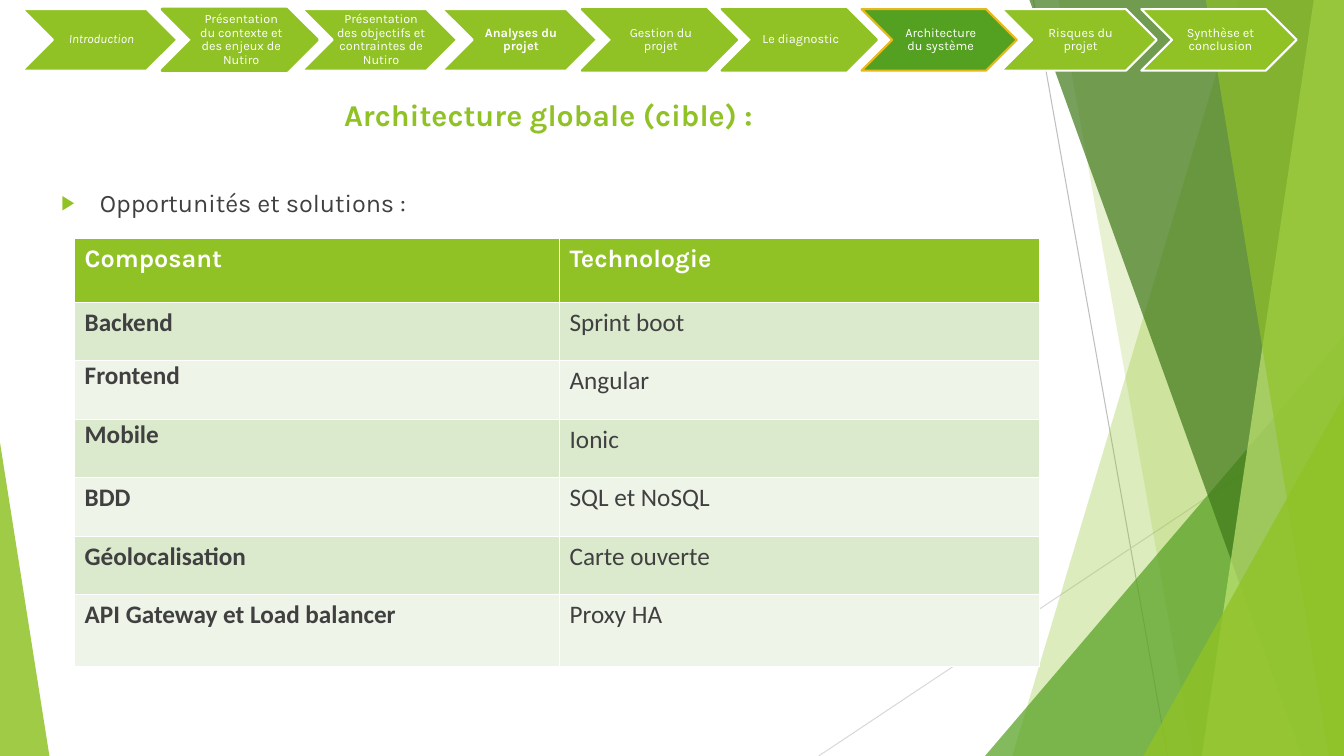
from dataclasses import dataclass
from typing import Any

from lxml import etree
from pptx import Presentation
from pptx import util as u
from pptx.dml.color import RGBColor
from pptx.enum import shapes, text
from pptx.oxml import ns

WIDTH, HEIGHT = 13.33, 7.5
LIME, GREEN, WHITE, GREY = "90C226", "54A021", "FFFFFF", "404040"
BANDS = ("DBE9CD", "EEF4E8")


@dataclass(frozen=True)
class Ray:
    start: tuple[float, float]
    end: tuple[float, float]
    color: str


@dataclass(frozen=True)
class Facet:
    points: tuple[tuple[float, float], ...]
    color: str
    opacity: int


@dataclass(frozen=True)
class Step:
    label: str
    fill: str = LIME
    outline: str = WHITE
    weight: float = 1.5
    bold: bool = False
    italic: bool = False


def right_facet(top: float, bottom: float, color: str, opacity: int) -> Facet:
    return Facet(((top, 0), (WIDTH, 0), (WIDTH, HEIGHT), (bottom, HEIGHT)), color, opacity)


def corner_facet(left: float, top: float, color: str, opacity: int) -> Facet:
    return Facet(((WIDTH, top), (WIDTH, HEIGHT), (left, HEIGHT)), color, opacity)


RAYS = [
    Ray((10.25, 0), (11.58, HEIGHT), "BFBFBF"),
    Ray((WIDTH, 4.03), (8.12, HEIGHT), "D9D9D9"),
]
FACETS = [
    right_facet(12.28, 10.04, LIME, 30),
    right_facet(10.5, 11.83, LIME, 20),
    corner_facet(9.77, 3.33, GREEN, 72),
    right_facet(10.21, 12.91, "3F7819", 70),
    right_facet(13.03, 11.92, "C0E474", 70),
    right_facet(11.96, 13.18, LIME, 65),
    corner_facet(11.34, 3.93, LIME, 80),
    Facet(((0, 4.39), (0.49, HEIGHT), (0, HEIGHT)), LIME, 85),
]
STEPS = [
    Step("Introduction", italic=True),
    Step("Présentation du contexte et des enjeux de Nutiro", outline=LIME, weight=2),
    Step("Présentation des objectifs et contraintes de Nutiro"),
    Step("Analyses du projet", bold=True),
    Step("Gestion du projet", outline=LIME),
    Step("Le diagnostic", outline=LIME),
    Step("Architecture du système", fill=GREEN, outline="E6B91E"),
    Step("Risques du projet"),
    Step("Synthèse et conclusion"),
]
COMPONENTS = [
    ("Composant", "Technologie"),
    ("Backend", "Sprint boot"),
    ("Frontend", "Angular"),
    ("Mobile", "Ionic"),
    ("BDD", "SQL et NoSQL"),
    ("Géolocalisation", "Carte ouverte"),
    ("API Gateway et Load balancer", "Proxy HA"),
]
COLUMN_WIDTHS = (4.81, 4.76)
ROW_HEIGHTS = (0.63, 0.58, 0.58, 0.58, 0.58, 0.58, 0.71)
RAISED = {"Frontend", "Mobile"}


def paint(color_format: Any, color: str) -> None:
    color_format.rgb = RGBColor.from_string(color)


def fill_with(fill: Any, color: str) -> None:
    fill.solid()
    paint(fill.fore_color, color)


def apply(target: Any, values: dict[str, Any]) -> None:
    for name, value in values.items():
        setattr(target, name, value)


def place(box: Any, left: float, top: float, width: float, height: float) -> None:
    sides = {"left": left, "top": top, "width": width, "height": height}
    apply(box, {name: u.Inches(value) for name, value in sides.items()})


def write(para: Any, words: str, color: str, **font: Any) -> None:
    span = para.add_run()
    span.text = words
    apply(span.font, font)
    paint(span.font.color, color)


def draw_ray(page: Any, ray: Ray) -> None:
    ends = [u.Inches(value) for value in (*ray.start, *ray.end)]
    line = page.shapes.add_connector(shapes.MSO_CONNECTOR.STRAIGHT, *ends)
    line.line.width = u.Pt(0.75)
    paint(line.line.color, ray.color)
    etree.SubElement(line._element.spPr, ns.qn("a:effectLst"))


def draw_facet(page: Any, facet: Facet) -> None:
    first, *others = [(u.Inches(x), u.Inches(y)) for x, y in facet.points]
    builder = page.shapes.build_freeform(*first)
    builder.add_line_segments(others, close=True)
    shape = builder.convert_to_shape()
    shape.shadow.inherit = False
    shape.line.fill.background()
    fill_with(shape.fill, facet.color)
    color = shape._element.spPr.find(".//" + ns.qn("a:srgbClr"))
    etree.SubElement(color, ns.qn("a:alpha"), val=str(facet.opacity * 1000))


def draw_title(page: Any) -> None:
    box = page.shapes.title
    place(box, 0.74, 0.9, 9.4, 0.74)
    apply(box.text_frame, {"vertical_anchor": text.MSO_ANCHOR.TOP,
                           "auto_size": text.MSO_AUTO_SIZE.NONE})
    para = box.text_frame.paragraphs[0]
    para.alignment = text.PP_ALIGN.CENTER
    write(para, "Architecture globale (cible) :", LIME,
          name="Karla", size=u.Pt(21.6), bold=True)
    page.shapes._spTree.append(box._element)


def draw_body(page: Any) -> None:
    box = page.placeholders[1]
    place(box, 0.51, 1.81, 9.4, 4.79)
    box.text_frame.auto_size = text.MSO_AUTO_SIZE.NONE
    para = box.text_frame.paragraphs[0]
    para.space_before = u.Pt(10)
    write(para, "Opportunités et solutions :", GREY, name="Karla", size=u.Pt(18))
    settings = para._p.get_or_add_pPr()
    settings.set("marL", str(u.Inches(0.38)))
    settings.set("indent", str(u.Inches(-0.38)))
    bullet_color = etree.SubElement(settings, ns.qn("a:buClr"))
    etree.SubElement(bullet_color, ns.qn("a:srgbClr"), val=LIME)
    etree.SubElement(settings, ns.qn("a:buSzPct"), val="80000")
    etree.SubElement(settings, ns.qn("a:buChar"), char="▶")
    page.shapes._spTree.append(box._element)


def draw_table(page: Any) -> None:
    area = [u.Inches(value) for value in (0.74, 2.37, sum(COLUMN_WIDTHS), sum(ROW_HEIGHTS))]
    table = page.shapes.add_table(len(COMPONENTS), len(COLUMN_WIDTHS), *area).table
    for column, width in zip(table.columns, COLUMN_WIDTHS):
        column.width = u.Inches(width)
    for r, (row, height) in enumerate(zip(table.rows, ROW_HEIGHTS)):
        row.height = u.Inches(height)
        header = r == 0
        for c, (cell, words) in enumerate(zip(row.cells, COMPONENTS[r])):
            fill_with(cell.fill, LIME if header else BANDS[(r - 1) % 2])
            if words in RAISED:
                apply(cell, {"margin_top": 0, "margin_bottom": 0})
            write(cell.text_frame.paragraphs[0], words, WHITE if header else GREY,
                  name="Karla" if header else "Calibri", size=u.Pt(18),
                  bold=header or c == 0)


def draw_step(page: Any, step: Step, left: float) -> None:
    area = [u.Inches(value) for value in (left, 0.09, 1.54, 0.61)]
    box = page.shapes.add_shape(shapes.MSO_SHAPE.CHEVRON, *area)
    box.shadow.inherit = False
    fill_with(box.fill, step.fill)
    box.line.width = u.Pt(step.weight)
    paint(box.line.color, step.outline)
    margin = u.Inches(0.01)
    apply(box.text_frame, {"margin_left": u.Inches(0.04), "margin_top": margin,
                           "margin_right": margin, "margin_bottom": margin,
                           "word_wrap": True, "vertical_anchor": text.MSO_ANCHOR.MIDDLE})
    para = box.text_frame.paragraphs[0]
    apply(para, {"alignment": text.PP_ALIGN.CENTER, "line_spacing": 0.9})
    write(para, step.label, WHITE, name="Karla", size=u.Pt(9),
          bold=step.bold, italic=step.italic)


def main() -> None:
    deck = Presentation()
    apply(deck, {"slide_width": u.Inches(WIDTH), "slide_height": u.Inches(HEIGHT)})
    page = deck.slides.add_slide(deck.slide_layouts[1])
    for ray in RAYS:
        draw_ray(page, ray)
    for facet in FACETS:
        draw_facet(page, facet)
    draw_title(page)
    draw_body(page)
    draw_table(page)
    for index, step in enumerate(STEPS):
        draw_step(page, step, 0.22 + index * 11.1 / 8)
    deck.save("out.pptx")


if __name__ == "__main__":
    main()
